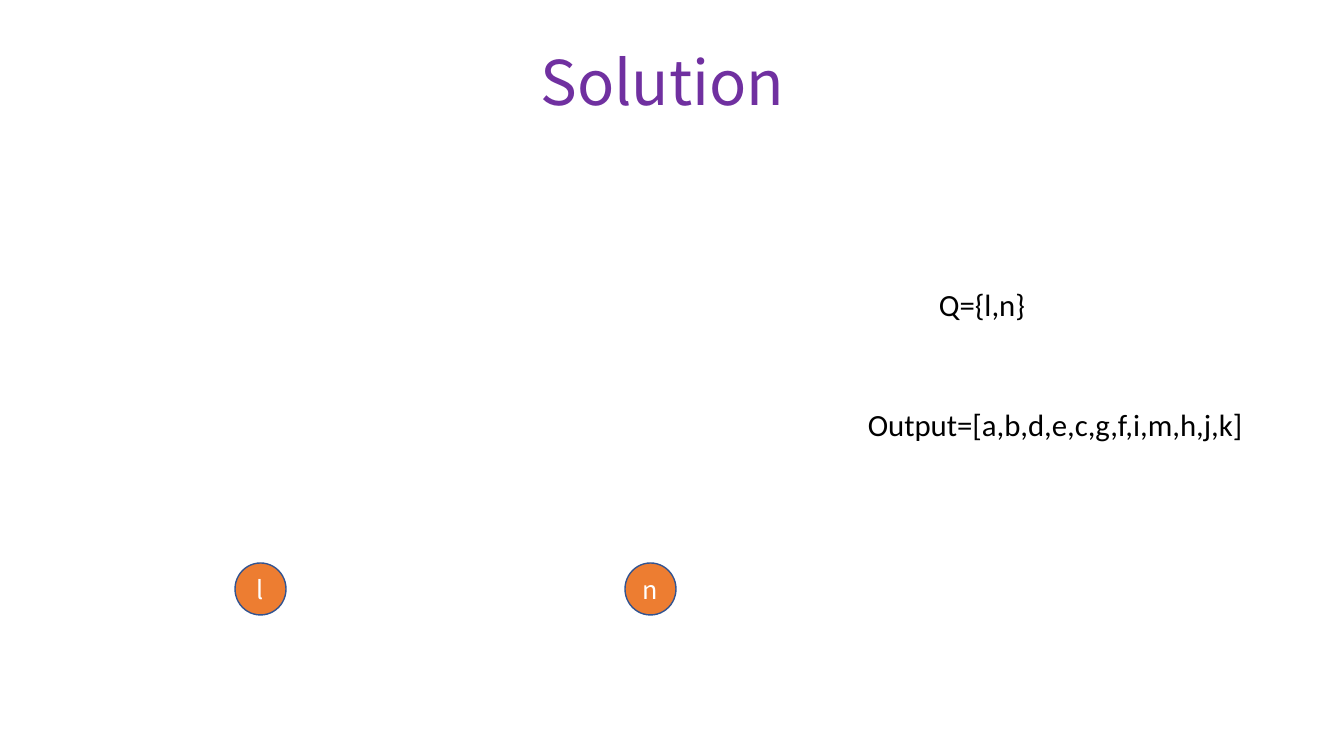
from pptx import Presentation
from pptx.dml.color import RGBColor
from pptx.enum.shapes import MSO_SHAPE
from pptx.enum.text import MSO_ANCHOR, MSO_AUTO_SIZE, PP_ALIGN
from pptx.util import Pt

# Content: lengths in px, 100.8 px to the inch
PX = 914400 / 100.8
SLIDE = (1344, 756)
COLORS = {"title": "7030A0", "text": "000000", "node": "ED7D31",
          "outline": "325491", "label": "FFFFFF"}
HEADING_FONT, BODY_FONT = "Noto Sans CJK SC", "Calibri"

TITLE = ("Solution", (83, 13, 1159, 146))
STATES = [
    ("Q={l,n}", (929, 281, 284, 47)),
    ("Output=[a,b,d,e,c,g,f,i,m,h,j,k]", (858, 401, 449, 47)),
]
NODES = [("l", 235), ("n", 625)]
NODE_TOP, NODE_W, NODE_H = 563, 51, 52


def emu(*lengths):
    return [round(n * PX) for n in lengths]


def color(name):
    return RGBColor.from_string(COLORS[name])


def write(sp, text, font, size, color_name, centered=False):
    tf = sp.text_frame
    p = tf.paragraphs[0]
    p.text = text
    p.font.name, p.font.size = font, Pt(size)
    p.font.color.rgb = color(color_name)
    if centered:
        p.alignment = PP_ALIGN.CENTER
        tf.vertical_anchor = MSO_ANCHOR.MIDDLE
    return tf


prs = Presentation()
prs.slide_width, prs.slide_height = emu(*SLIDE)
# Title Only layout gives the heading a real title; the other layout is blank
s = prs.slides.add_slide(prs.slide_layouts[5])

# Graph nodes
for label, left in NODES:
    sp = s.shapes.add_shape(MSO_SHAPE.OVAL, *emu(left, NODE_TOP, NODE_W, NODE_H))
    sp.shadow.inherit = False
    sp.fill.solid()
    sp.fill.fore_color.rgb = color("node")
    sp.line.color.rgb = color("outline")
    sp.line.width = Pt(1)
    tf = write(sp, label, HEADING_FONT, 18, "label", centered=True)
    tf.word_wrap = False

# Queue and output
for text, box in STATES:
    sp = s.shapes.add_textbox(*emu(*box))
    tf = write(sp, text, BODY_FONT, 22, "text")
    tf.word_wrap = True
    tf.auto_size = MSO_AUTO_SIZE.SHAPE_TO_FIT_TEXT

# Title
text, box = TITLE
sp = s.shapes.title
sp.left, sp.top, sp.width, sp.height = emu(*box)
tf = write(sp, text, HEADING_FONT, 44, "title", centered=True)
tf.paragraphs[0].line_spacing = 0.9

prs.save("out.pptx")
